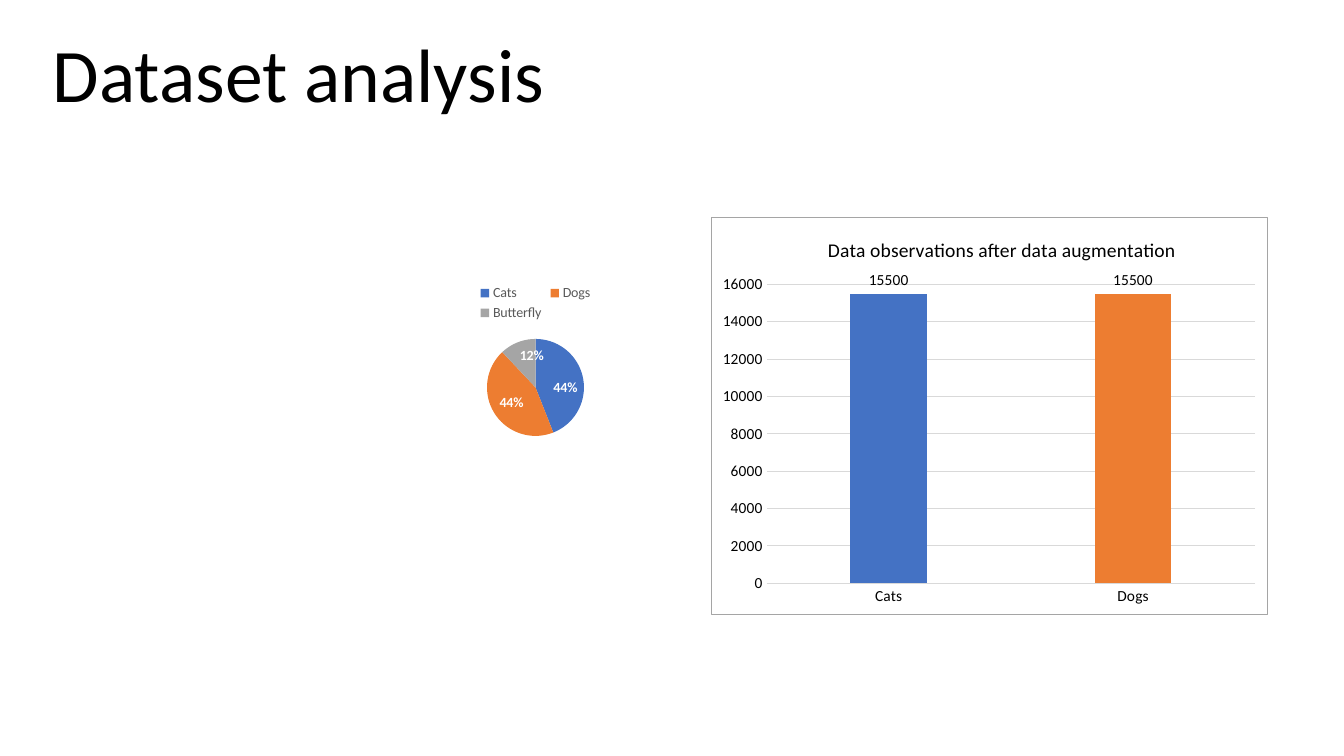
from dataclasses import dataclass

from lxml.etree import SubElement
from pptx import Presentation
from pptx.chart.chart import Chart
from pptx.chart.data import CategoryChartData
from pptx.dml.color import RGBColor
from pptx.enum.chart import XL_CHART_TYPE as ChartType
from pptx.enum.chart import XL_LABEL_POSITION as LabelPosition
from pptx.enum.chart import XL_LEGEND_POSITION as LegendPosition
from pptx.enum.chart import XL_TICK_MARK as TickMark
from pptx.oxml.ns import qn
from pptx.oxml.xmlchemy import BaseOxmlElement
from pptx.slide import Slide
from pptx.text.text import Font
from pptx.util import Emu, Pt

PX_PER_INCH = 100.8


@dataclass(frozen=True)
class Theme:
    font: str = "Calibri"
    text: str = "000000"
    legend: str = "595959"
    paper: str = "FFFFFF"
    rule: str = "D9D9D9"
    border: str = "A5A5A5"
    classes: tuple[str, ...] = ("4472C4", "ED7D31", "A5A5A5")
    heading_size: int = 54
    chart_title_size: int = 14
    axis_size: int = 11
    small_size: int = 10


@dataclass(frozen=True)
class Box:
    left: int
    top: int
    width: int
    height: int

    def emu(self) -> tuple[Emu, Emu, Emu, Emu]:
        return px(self.left), px(self.top), px(self.width), px(self.height)


@dataclass(frozen=True)
class ClassChart:
    kind: ChartType
    frame: Box
    plot: Box
    counts: dict[str, int]
    label_position: LabelPosition
    label_size: int
    label_color: str
    label_bold: bool = False


THEME = Theme()
HEADING = Box(43, 32, 1258, 146)
AUGMENTED = ClassChart(
    ChartType.COLUMN_CLUSTERED, Box(711, 217, 557, 398), Box(766, 284, 490, 300),
    {"Cats": 15500, "Dogs": 15500},
    LabelPosition.OUTSIDE_END, THEME.axis_size, THEME.text)
SHARES = ClassChart(
    ChartType.PIE, Box(437, 274, 197, 180), Box(487, 339, 97, 97),
    {"Cats": 44, "Dogs": 44, "Butterfly": 12},
    LabelPosition.INSIDE_END, THEME.small_size, THEME.paper, True)


def px(length: int) -> Emu:
    return Emu(round(length * 914400 / PX_PER_INCH))


def style_font(font: Font, size: int, color: str, bold: bool = False) -> None:
    font.name = THEME.font
    font.size = Pt(size)
    font.bold = bold
    font.color.rgb = RGBColor.from_string(color)


def place(part: BaseOxmlElement, index: int, frame: Box, left: int, top: int,
          size: tuple[int, int] | None = None) -> None:
    """Fix a chart part at slide coordinates, as fractions of the chart frame."""
    for automatic in part.findall(qn("c:layout")):
        part.remove(automatic)
    layout = part.makeelement(qn("c:layout"))
    part.insert(index, layout)
    manual = SubElement(layout, qn("c:manualLayout"))
    settings: dict[str, str | float] = {}
    if size:
        settings["layoutTarget"] = "inner"
    settings |= {"xMode": "edge", "yMode": "edge",
                 "x": (left - frame.left) / frame.width,
                 "y": (top - frame.top) / frame.height}
    if size:
        settings |= {"w": size[0] / frame.width, "h": size[1] / frame.height}
    for name, value in settings.items():
        SubElement(manual, qn(f"c:{name}"), val=str(value))


def add_class_chart(slide: Slide, spec_: ClassChart) -> Chart:
    """Add a one-series chart with one colour per class."""
    data = CategoryChartData()
    data.categories = list(spec_.counts)
    data.add_series("Observations", list(spec_.counts.values()))
    chart = slide.shapes.add_chart(spec_.kind, *spec_.frame.emu(), data).chart
    style_font(chart.font, THEME.small_size, THEME.text)
    chart.has_title = False
    chart.has_legend = False
    plot = chart.plots[0]
    plot.vary_by_categories = spec_.kind == ChartType.PIE
    for index, color in enumerate(THEME.classes[:len(spec_.counts)]):
        fill = plot.series[0].points[index].format.fill
        fill.solid()
        fill.fore_color.rgb = RGBColor.from_string(color)
    labels = plot.series[0].data_labels
    labels.position = spec_.label_position
    style_font(labels.font, spec_.label_size, spec_.label_color, spec_.label_bold)
    area = chart.element.find(f".//{qn('c:plotArea')}")
    place(area, 0, spec_.frame, spec_.plot.left, spec_.plot.top,
          (spec_.plot.width, spec_.plot.height))
    return chart


def frame_chart(chart: Chart) -> None:
    """Give the chart area its paper fill and thin border."""
    space = chart.element
    properties = space.makeelement(qn("c:spPr"))
    space.find(qn("c:chart")).addnext(properties)
    border = properties.makeelement(qn("a:ln"), {"w": str(Pt(1))})
    for parent, color in ((properties, THEME.paper), (border, THEME.border)):
        fill = SubElement(parent, qn("a:solidFill"))
        SubElement(fill, qn("a:srgbClr"), val=color)
    properties.append(border)


def add_augmented_chart(slide: Slide) -> None:
    chart = add_class_chart(slide, AUGMENTED)
    frame_chart(chart)
    title = chart.chart_title
    run = title.text_frame.paragraphs[0].add_run()
    run.text = "Data observations after data augmentation"
    style_font(run.font, THEME.chart_title_size, THEME.text)
    place(title.element if hasattr(title, "element") else title._element,
          1, AUGMENTED.frame, 824, 232)
    chart.plots[0].gap_width = 219
    chart.plots[0].overlap = -27
    chart.plots[0].series[0].data_labels.show_value = True

    counts, classes = chart.value_axis, chart.category_axis
    for axis in (counts, classes):
        axis.major_tick_mark = axis.minor_tick_mark = TickMark.NONE
        style_font(axis.tick_labels.font, THEME.axis_size, THEME.text)
    counts.minimum_scale, counts.maximum_scale, counts.major_unit = 0, 16000, 2000
    counts.format.line.fill.background()
    for line in (counts.major_gridlines.format.line, classes.format.line):
        line.width = Pt(0.75)
        line.color.rgb = RGBColor.from_string(THEME.rule)


def add_share_chart(slide: Slide) -> None:
    chart = add_class_chart(slide, SHARES)
    chart.has_legend = True
    chart.legend.position = LegendPosition.TOP
    chart.legend.include_in_layout = False
    style_font(chart.legend.font, THEME.small_size, THEME.legend)
    labels = chart.plots[0].series[0].data_labels
    labels.show_value = False
    labels.show_percentage = True
    labels.number_format = "0%"
    labels.number_format_is_linked = False


def add_heading(slide: Slide) -> None:
    frame = slide.shapes.add_textbox(*HEADING.emu()).text_frame
    frame.word_wrap = True
    paragraph = frame.paragraphs[0]
    paragraph.line_spacing = 0.9
    run = paragraph.add_run()
    run.text = "Dataset analysis"
    style_font(run.font, THEME.heading_size, THEME.text)


def main() -> None:
    deck = Presentation()
    deck.slide_width, deck.slide_height = px(1344), px(756)
    slide = deck.slides.add_slide(deck.slide_layouts[6])
    add_augmented_chart(slide)
    add_heading(slide)
    add_share_chart(slide)
    deck.save("out.pptx")


if __name__ == "__main__":
    main()
